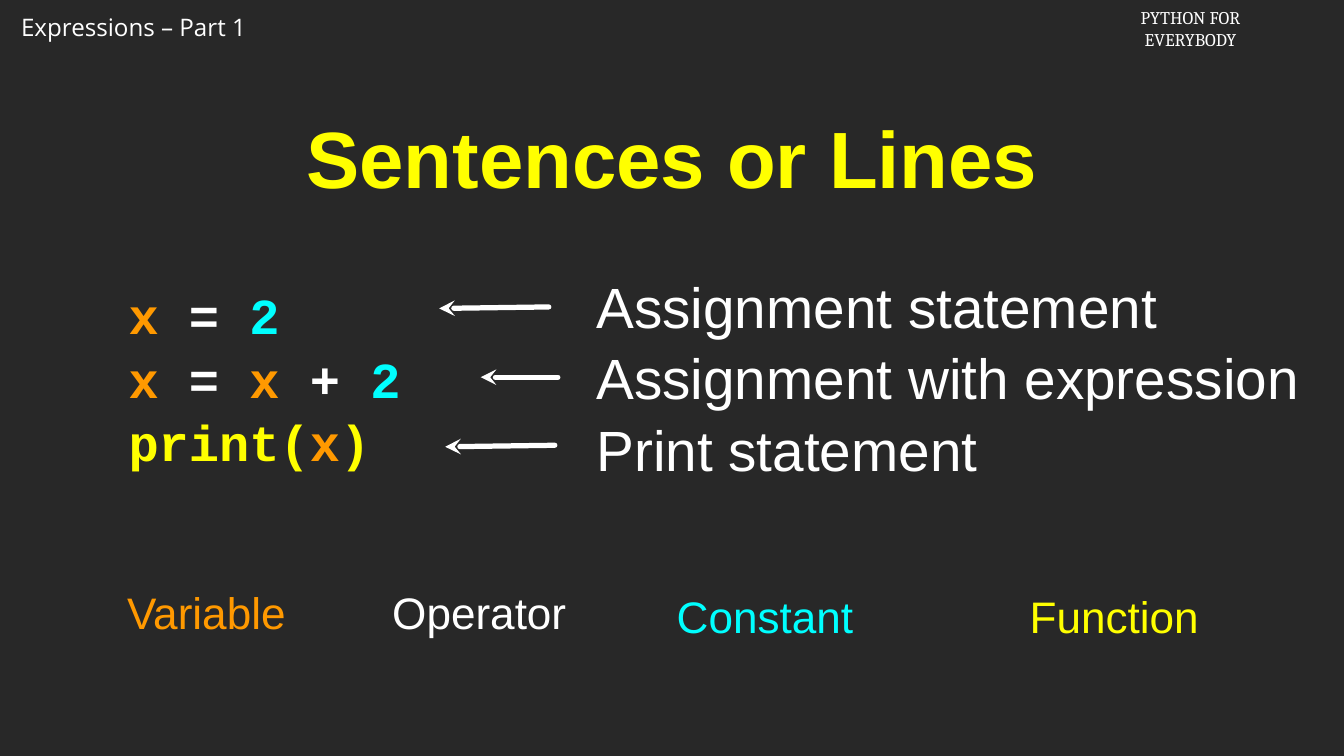
from lxml import etree
from pptx import Presentation
from pptx.dml.color import RGBColor
from pptx.enum.shapes import MSO_CONNECTOR
from pptx.enum.text import MSO_ANCHOR, MSO_AUTO_SIZE, PP_ALIGN
from pptx.oxml.ns import qn
from pptx.util import Inches, Pt

LEFT, CENTER = PP_ALIGN.LEFT, PP_ALIGN.CENTER
TOP, MIDDLE = MSO_ANCHOR.TOP, MSO_ANCHOR.MIDDLE
NO_FIT = MSO_AUTO_SIZE.NONE
STRAIGHT = MSO_CONNECTOR.STRAIGHT
TITLE_ONLY = 5

BACKGROUND = "282828"
VARIABLE, OPERATOR, CONSTANT, FUNCTION = "FF9900", "FFFFFF", "00FFFF", "FFFF00"
WHITE = OPERATOR


def color(hex_string):
    return RGBColor.from_string(hex_string)


class SlideBuilder:
    """Holds the shared style and the slide being filled."""

    font = "Arial"
    line_width = 5

    def __init__(self, presentation):
        self.slide = presentation.slides.add_slide(presentation.slide_layouts[TITLE_ONLY])
        fill = self.slide.background.fill
        fill.solid()
        fill.fore_color.rgb = color(BACKGROUND)

    def fill_text(self, shape, lines, size, font=None, bold=False, align=LEFT,
                  anchor=MIDDLE, inset=0, gap=0, wrap=True):
        """Fill a shape with lines, each a list of (text, colour) runs."""
        frame = shape.text_frame
        frame.auto_size = NO_FIT
        frame.word_wrap = wrap
        frame.vertical_anchor = anchor
        frame.margin_left = frame.margin_right = Inches(inset)
        frame.margin_top = frame.margin_bottom = Inches(min(inset, 0.05))
        for index, line in enumerate(lines):
            paragraph = frame.add_paragraph() if index else frame.paragraphs[0]
            paragraph.alignment = align
            paragraph.space_before = Pt(gap if index else 0)
            for text, hex_string in line:
                run = paragraph.add_run()
                run.text = text
                run.font.name = font or self.font
                run.font.size = Pt(size)
                run.font.bold = bold
                run.font.color.rgb = color(hex_string)

    def title(self, text, box, size):
        shape = self.slide.shapes.title
        shape.left, shape.top, shape.width, shape.height = map(Inches, box)
        self.fill_text(shape, [[(text, FUNCTION)]], size, bold=True, align=CENTER, inset=0.04)

    def text(self, lines, box, size, **style):
        shape = self.slide.shapes.add_textbox(*map(Inches, box))
        self.fill_text(shape, lines, size, **style)

    def arrow(self, tip, end):
        connector = self.slide.shapes.add_connector(STRAIGHT, *map(Inches, tip + end))
        connector.line.width = Pt(self.line_width)
        connector.line.color.rgb = color(WHITE)
        properties = connector.element.spPr
        line = properties.find(qn("a:ln"))
        line.set("cap", "rnd")
        etree.SubElement(line, qn("a:round"))
        etree.SubElement(line, qn("a:headEnd"), type="stealth")
        etree.SubElement(properties, qn("a:effectLst"))


def main():
    presentation = Presentation()
    presentation.slide_width = Inches(17.78)
    presentation.slide_height = Inches(10)
    builder = SlideBuilder(presentation)

    header = {"anchor": TOP, "inset": 0.1, "wrap": False}
    builder.text([[("Expressions – Part 1", WHITE)]], (0.18, 0.12, 3.35, 0.49), 23,
                 font="Open Sans", **header)
    builder.text([[("PYTHON FOR", WHITE)], [("EVERYBODY", WHITE)]],
                 (14.88, 0.04, 1.74, 0.67), 17, font="Cambria", align=CENTER, **header)

    builder.title("Sentences or Lines", (0.89, 1.4, 16, 1.34), 76)

    x, equals, two = ("x ", VARIABLE), ("= ", OPERATOR), ("2", CONSTANT)
    code = [
        [x, equals, two],
        [x, equals, x, ("+ ", OPERATOR), two],
        [("print(", FUNCTION), ("x", VARIABLE), (")", FUNCTION)],
    ]
    builder.text(code, (1.7, 2.79, 4.38, 4.42), 48, font="Courier New", bold=True, gap=3)

    legend = [
        ("Variable", VARIABLE, (1.45, 7.7, 2.56, 0.79)),
        ("Operator", OPERATOR, (5.14, 7.7, 2.4, 0.79)),
        ("Constant", CONSTANT, (8.84, 7.75, 2.56, 0.79)),
        ("Function", FUNCTION, (12.83, 7.75, 3.82, 0.79)),
    ]
    for name, hex_string, box in legend:
        builder.text([[(name, hex_string)]], box, 42, align=CENTER)

    meanings = ["Assignment statement", "Assignment with expression", "Print statement"]
    builder.text([[(meaning, WHITE)] for meaning in meanings],
                 (7.89, 2.78, 9.63, 4.42), 54, gap=3)

    arrows = [
        ((5.81, 4.08), (7.26, 4.06)),
        ((6.36, 4.99), (7.38, 4.99)),
        ((5.89, 5.91), (7.34, 5.89)),
    ]
    for tip, end in arrows:
        builder.arrow(tip, end)

    presentation.save("out.pptx")


if __name__ == "__main__":
    main()
